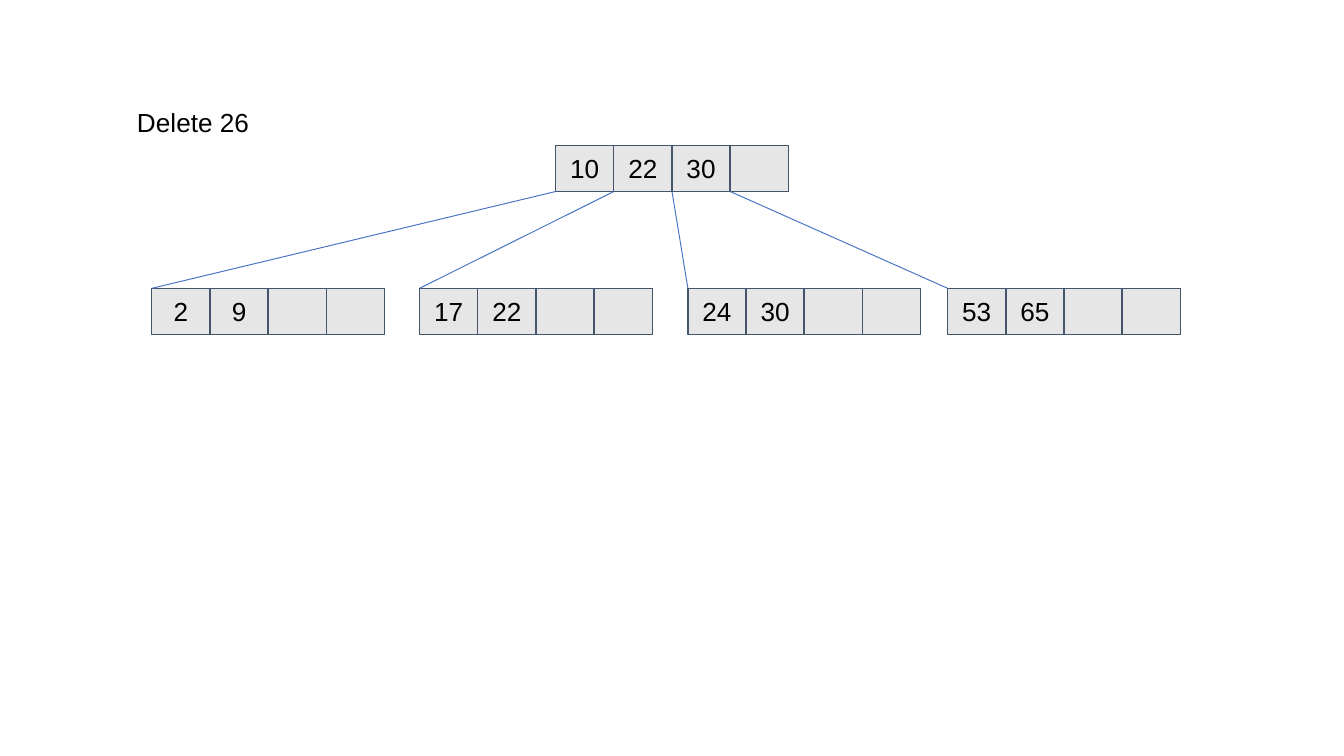
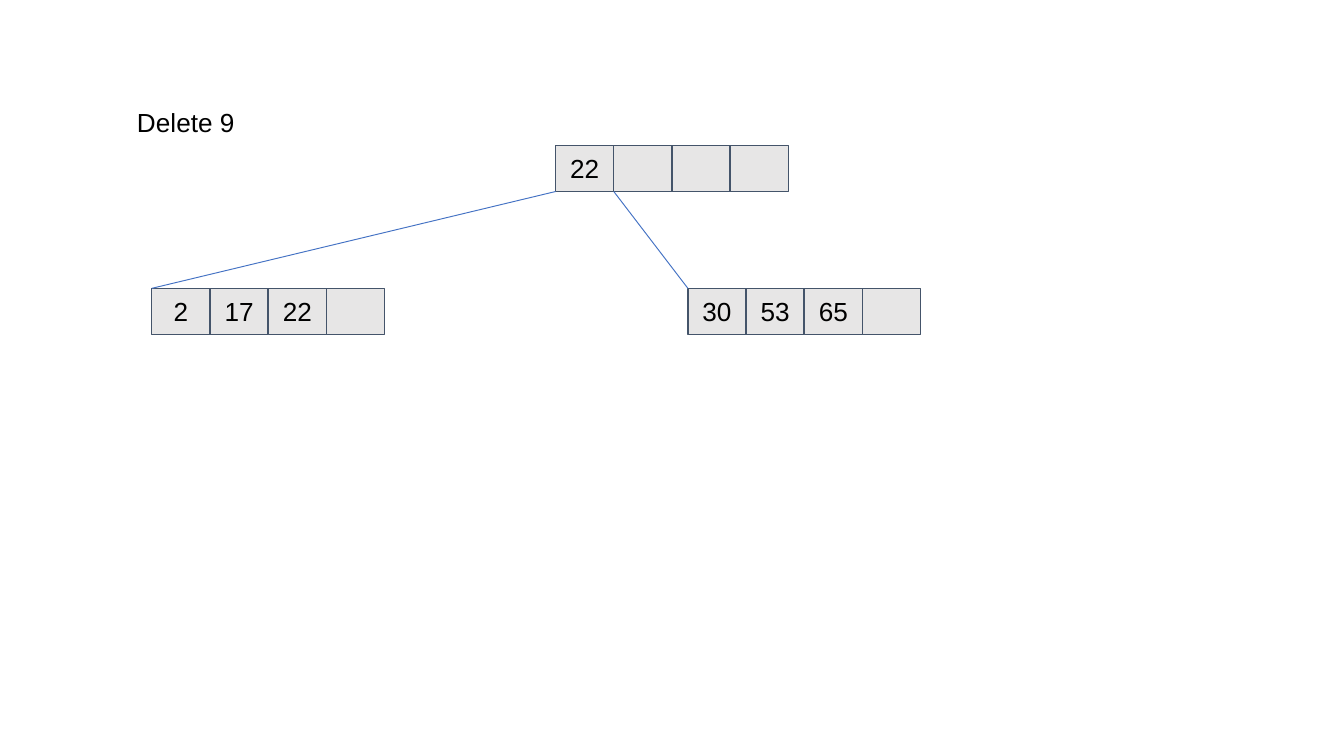
from lxml.etree import SubElement
from pptx import Presentation
from pptx.dml.color import RGBColor
from pptx.enum.shapes import MSO_CONNECTOR as Connector, MSO_SHAPE as Shape
from pptx.enum.text import MSO_ANCHOR as Anchor, MSO_AUTO_SIZE as AutoSize, PP_ALIGN as Align
from pptx.oxml.ns import qn
from pptx.util import Cm, Pt

# Each leaf is (column, keys); the columns are the places in LEAF_LEFTS.
SLIDES = [
    {"title": "Delete 26", "title_width": 2.64, "root": [10, 22, 30],
     "leaves": [(0, [2, 9]), (1, [17, 22]), (2, [24, 30]), (3, [53, 65])]},
    {"title": "Delete 9", "title_width": 2.36, "root": [22],
     "leaves": [(0, [2, 17, 22]), (2, [30, 53, 65])]},
]

COLORS = {"cell": "E7E6E6", "border": "44546A", "pointer": "4472C4", "text": "000000"}
FONT = "Arial"

# Lengths in centimetres
SLIDE_WIDTH, SLIDE_HEIGHT = 25.4, 14.29
TITLE_LEFT, TITLE_TOP = 2.34, 1.88
CELL_WIDTH, CELL_HEIGHT = 1.1, 0.87
CELLS_PER_NODE = 4
ROOT_LEFT, ROOT_TOP = 10.5, 2.75
LEAF_LEFTS, LEAF_TOP = [2.87, 7.93, 13.0, 17.91], 5.45


def color(name):
    """Return the named palette colour."""
    return RGBColor.from_string(COLORS[name])


def write(shape, text, size=14, align=Align.LEFT, anchor=Anchor.TOP, wrap=True,
          inset=None, auto_size=AutoSize.NONE):
    """Put one formatted line of text into a shape."""
    frame = shape.text_frame
    frame.word_wrap = wrap
    frame.auto_size = auto_size
    frame.vertical_anchor = anchor
    if inset is not None:
        frame.margin_left = frame.margin_right = Cm(inset)
        frame.margin_top = frame.margin_bottom = Cm(inset)
    para = frame.paragraphs[0]
    para.alignment = align
    span = para.add_run()
    span.text = text
    span.font.name = FONT
    span.font.size = Pt(size)
    span.font.color.rgb = color("text")


def add_title(page, text, width):
    """Add the operation's name above the tree."""
    box = page.shapes.add_textbox(Cm(TITLE_LEFT), Cm(TITLE_TOP), Cm(width), Cm(CELL_HEIGHT))
    write(box, text, wrap=False, auto_size=AutoSize.SHAPE_TO_FIT_TEXT)


def add_node(page, left, top, keys):
    """Draw a node as a row of cells, the unused ones empty."""
    for index in range(CELLS_PER_NODE):
        cell = page.shapes.add_shape(Shape.RECTANGLE, Cm(left + index * CELL_WIDTH), Cm(top),
                                     Cm(CELL_WIDTH), Cm(CELL_HEIGHT))
        cell.shadow.inherit = False
        cell.fill.solid()
        cell.fill.fore_color.rgb = color("cell")
        cell.line.color.rgb = color("border")
        cell.line.width = Pt(0.75)
        if index < len(keys):
            write(cell, str(keys[index]), align=Align.CENTER, anchor=Anchor.MIDDLE, inset=0.25)


def add_pointer(page, index, leaf_left):
    """Link the root's cell edge of that index to a leaf's top left corner."""
    line = page.shapes.add_connector(
        Connector.STRAIGHT, Cm(ROOT_LEFT + index * CELL_WIDTH), Cm(ROOT_TOP + CELL_HEIGHT),
        Cm(leaf_left), Cm(LEAF_TOP))
    line.line.color.rgb = color("pointer")
    line.line.width = Pt(0.5)
    SubElement(line._element.spPr, qn("a:effectLst"))


def add_tree(page, root, leaves):
    """Draw the root, its leaves, and the pointers between them."""
    add_node(page, ROOT_LEFT, ROOT_TOP, root)
    for column, keys in leaves:
        add_node(page, LEAF_LEFTS[column], LEAF_TOP, keys)
    for index, (column, _) in enumerate(leaves):
        add_pointer(page, index, LEAF_LEFTS[column])


deck = Presentation()
deck.slide_width, deck.slide_height = Cm(SLIDE_WIDTH), Cm(SLIDE_HEIGHT)
for content in SLIDES:
    page = deck.slides.add_slide(deck.slide_layouts[6])
    add_title(page, content["title"], content["title_width"])
    add_tree(page, content["root"], content["leaves"])
deck.save("out.pptx")
